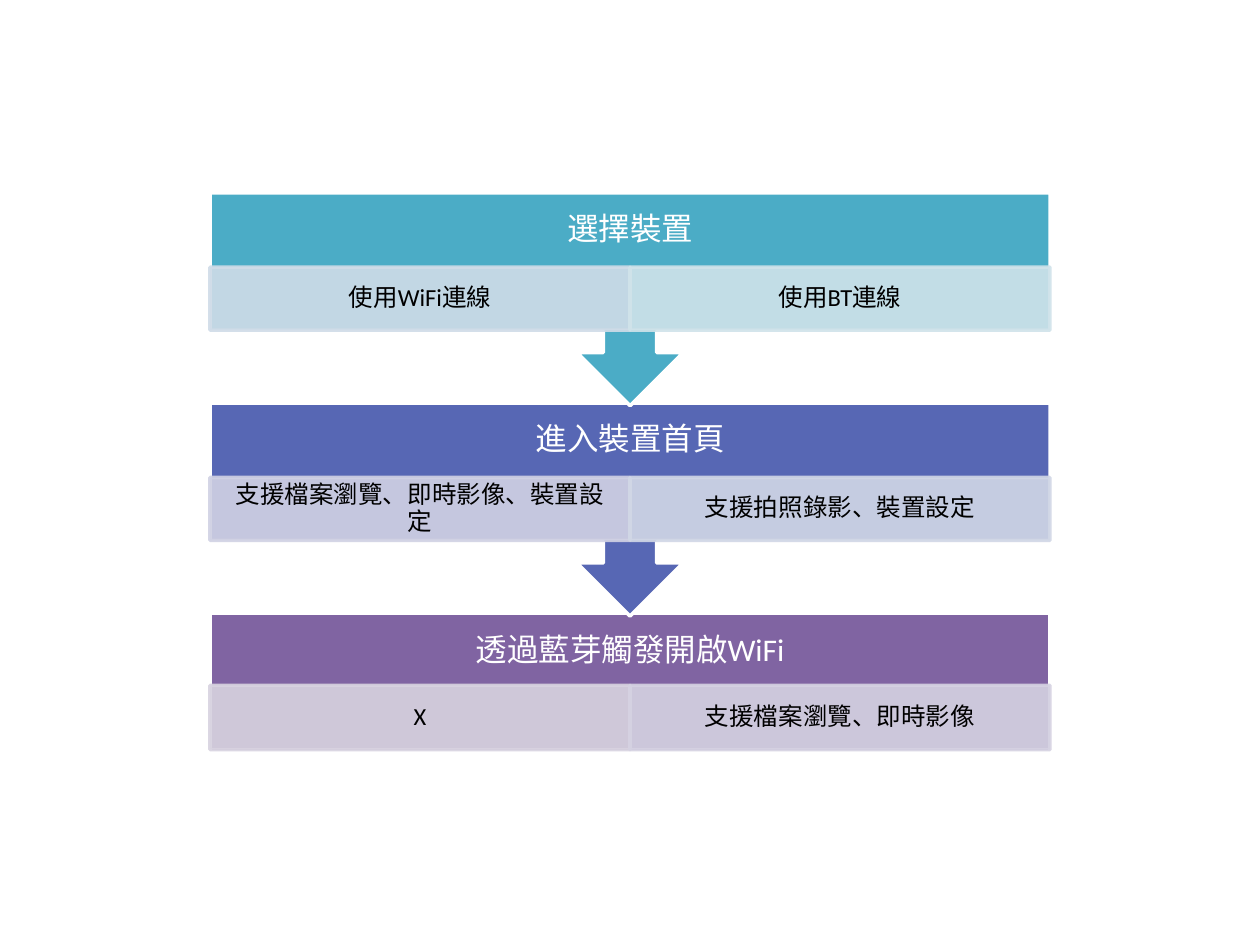
from lxml import etree
from pptx import Presentation
from pptx.dml.color import RGBColor
from pptx.enum.shapes import MSO_SHAPE
from pptx.enum.text import MSO_ANCHOR, PP_ALIGN
from pptx.oxml.ns import qn
from pptx.util import Inches, Pt

RECT, CALLOUT = MSO_SHAPE.RECTANGLE, MSO_SHAPE.UP_ARROW_CALLOUT
MIDDLE, CENTER = MSO_ANCHOR.MIDDLE, PP_ALIGN.CENTER

# Content: heading, colour, then (text, colour) for each cell
STEPS = [
    ("選擇裝置", "4BACC6", [("使用WiFi連線", "D0DCE8"), ("使用BT連線", "D0E3EA")]),
    ("進入裝置首頁", "5767B4", [("支援檔案瀏覽、即時影像、裝置設定", "D1D2E4"),
                          ("支援拍照錄影、裝置設定", "D1D7E6")]),
    ("透過藍芽觸發開啟WiFi", "8064A2", [("X", "D8D3E0"), ("支援檔案瀏覽、即時影像", "D5D2E2")]),
]

# Grid, in inches
WIDTH, HEIGHT = 10, 7.5
LEFT, TOP, PITCH = WIDTH / 6, 1.53, 1.67
BLOCK_W = WIDTH * 2 / 3
CALLOUT_H, LAST_H, HEAD_H = 1.69, 1.1, 0.59
HEADING = {"size": 18, "color": "FFFFFF", "inset": (0.14, 0.14)}
CELL = {"size": 14, "color": "000000", "inset": (0.11, 0.02)}


def rgb(value):
    return RGBColor.from_string(value)


def box(x, y, w, h):
    return [Inches(v) for v in (x, y, w, h)]


def add_block(kind, place, fill, line, opacity=None):
    sp = slide.shapes.add_shape(kind, *place)
    sp.shadow.inherit = False
    sp.fill.solid()
    sp.fill.fore_color.rgb = rgb(fill)
    sp.line.color.rgb = rgb(line)
    sp.line.width = Pt(2)
    if opacity:
        for color in sp._element.spPr.iter(qn("a:srgbClr")):
            etree.SubElement(color, qn("a:alpha"), val=str(opacity * 1000))
    return sp


def write(sp, text, style):
    tf = sp.text_frame
    across, down = (Inches(v) for v in style["inset"])
    settings = {"word_wrap": True, "vertical_anchor": MIDDLE,
                "margin_left": across, "margin_right": across,
                "margin_top": down, "margin_bottom": down}
    for name, value in settings.items():
        setattr(tf, name, value)
    p = tf.paragraphs[0]
    p.alignment, p.line_spacing = CENTER, 0.9
    r = p.add_run()
    r.text = text
    r.font.name, r.font.size = "Calibri", Pt(style["size"])
    r.font.color.rgb = rgb(style["color"])


prs = Presentation()
prs.slide_width, prs.slide_height = Inches(WIDTH), Inches(HEIGHT)
slide = prs.slides.add_slide(prs.slide_layouts[6])

# Steps from the last to the first, so each arrow lies over the next block
last = len(STEPS) - 1
for i, (heading, color, cells) in reversed(list(enumerate(STEPS))):
    y = TOP + i * PITCH
    if i == last:
        add_block(RECT, box(LEFT, y, BLOCK_W, LAST_H), color, "FFFFFF")
        cell_y, cell_h = y + 0.57, 0.51
    else:
        sp = add_block(CALLOUT, box(LEFT, y, BLOCK_W, CALLOUT_H), color, "FFFFFF")
        sp.rotation = 180
        cell_y, cell_h = y + HEAD_H, 0.5
    write(slide.shapes.add_textbox(*box(LEFT, y, BLOCK_W, HEAD_H)), heading, HEADING)

    # Cells share the block's width
    cell_w = BLOCK_W / len(cells)
    for col, (text, tint) in enumerate(cells):
        place = box(LEFT + col * cell_w, cell_y, cell_w, cell_h)
        write(add_block(RECT, place, tint, tint, opacity=90), text, CELL)

prs.save("out.pptx")
